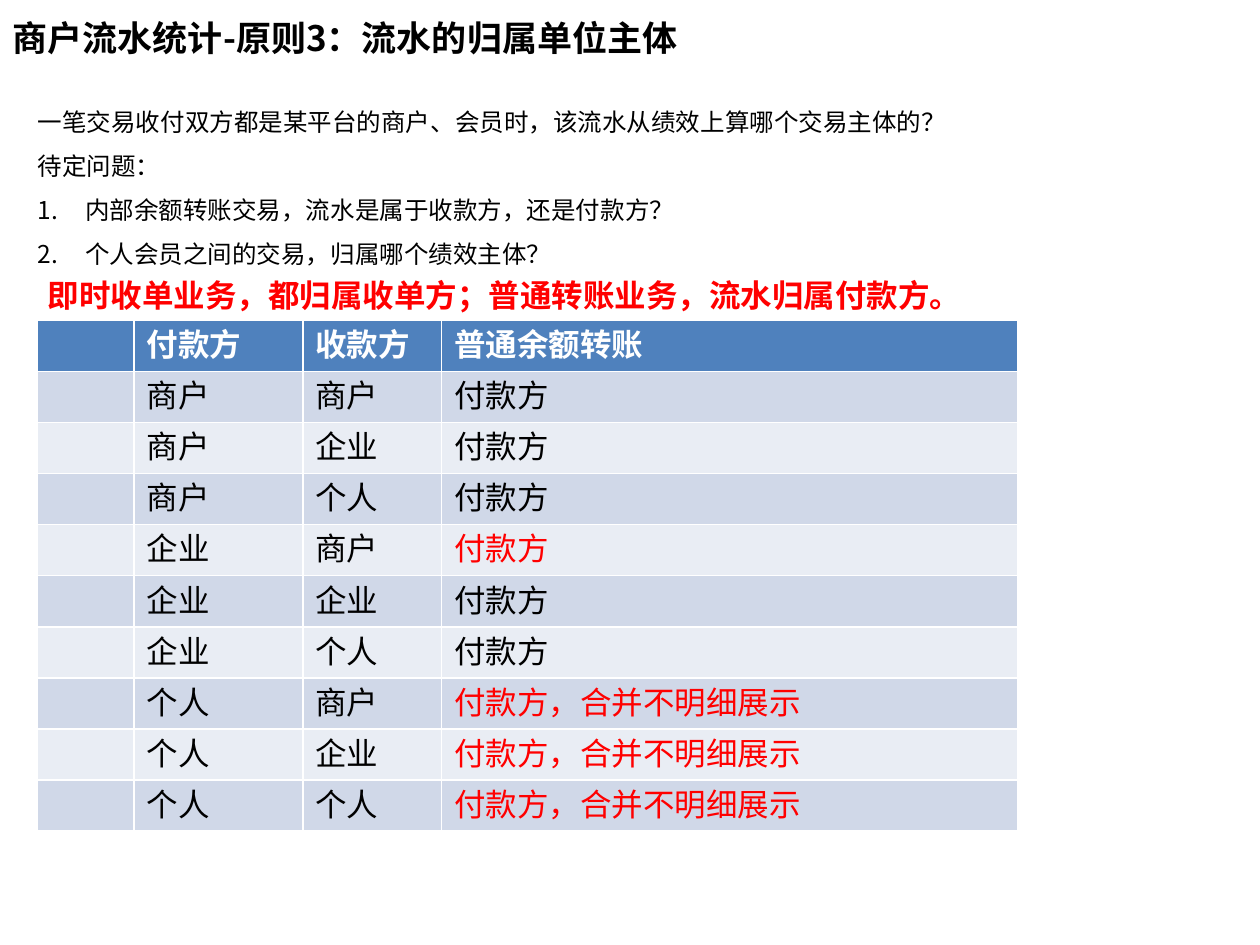
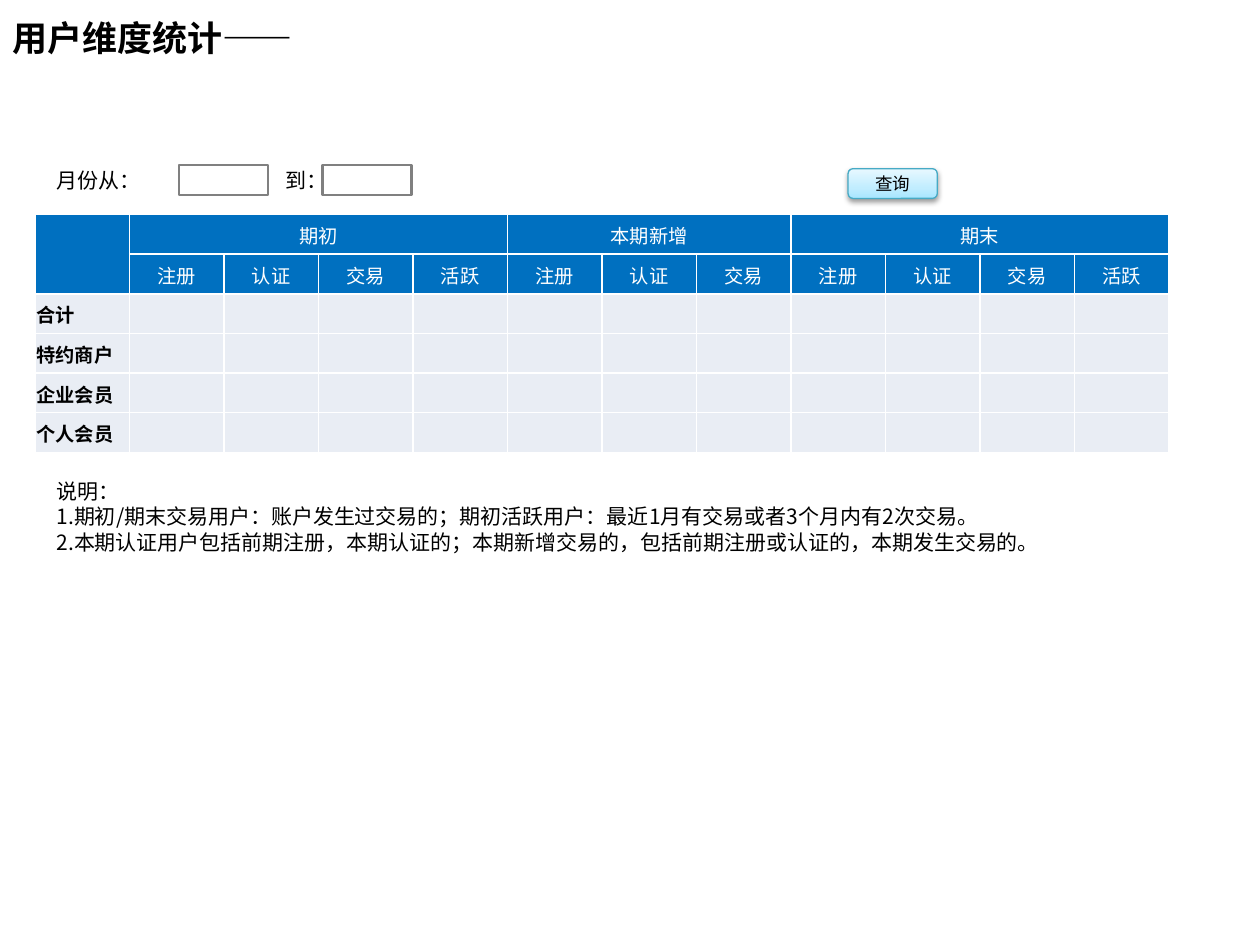
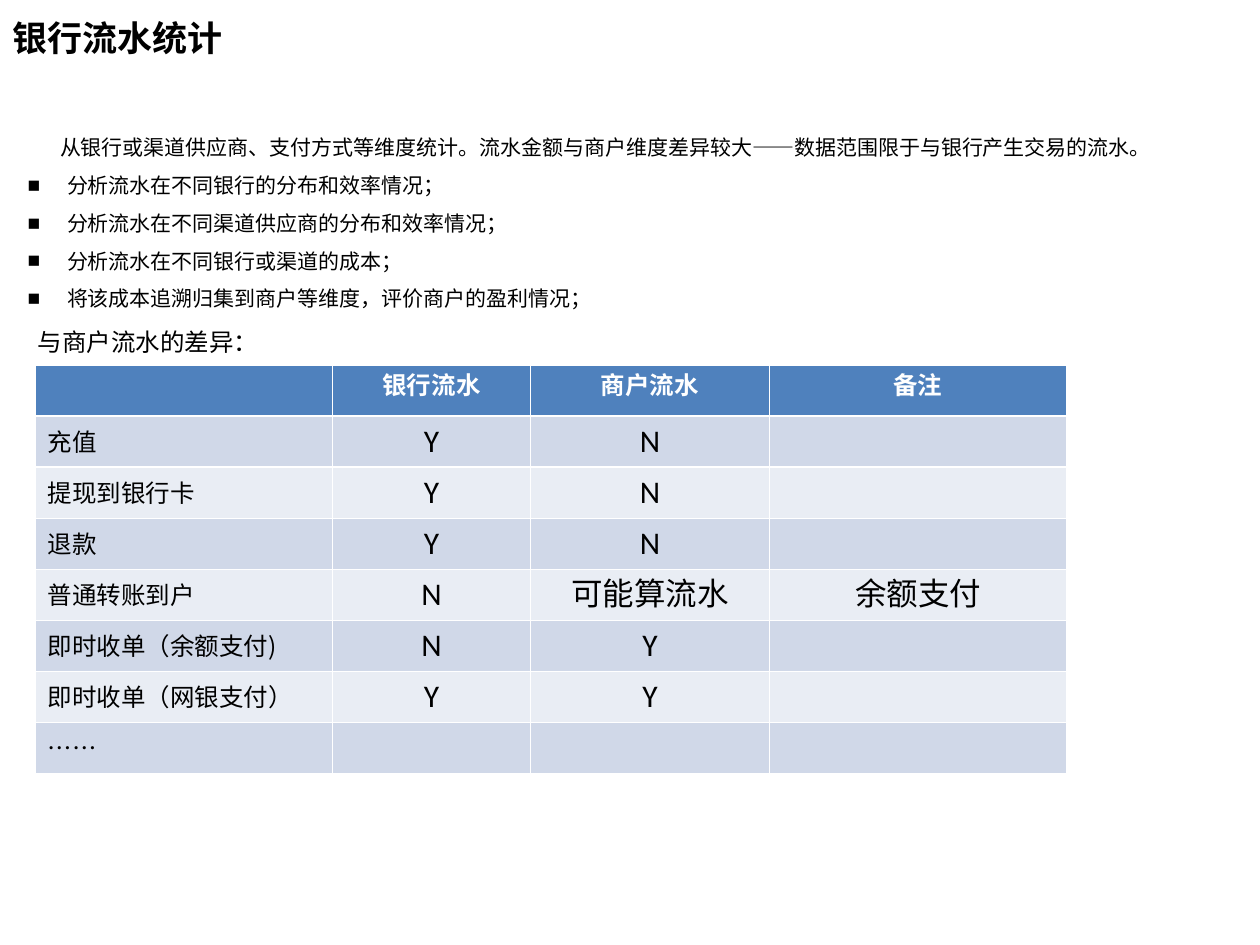
from lxml import etree
from pptx import Presentation
from pptx.dml.color import RGBColor
from pptx.enum import shapes, text
from pptx.oxml.ns import qn
from pptx.util import Pt

COLORS = {
    "ink": "000000", "white": "FFFFFF", "alert": "FF0000",
    "header": "4F81BD", "band_dark": "D0D8E8", "band_light": "E9EDF4",
    "group_header": "0070C0", "input_line": "808080", "button_line": "46AAC5",
    "button_low": "A7E6FF", "button_mid": "C1EDFF", "button_high": "E7F8FF",
}
SANS = "Noto Sans CJK SC"
LATIN = "Calibri"
CENTER = text.PP_ALIGN.CENTER
LEFT = text.PP_ALIGN.LEFT
MIDDLE = text.MSO_ANCHOR.MIDDLE
TITLE_BOX = (0, -0.72, 530, 44)
ROW_HEIGHT = 29.2


def color(name):
    return RGBColor.from_string(COLORS[name])


def points(box):
    return [Pt(value) for value in box]


def add_xml(parent, tag, **attributes):
    return etree.SubElement(parent, qn(tag), attributes)


def write(frame, *lines, size=12, font=SANS, ink="ink", bold=False,
          align=LEFT, spacing=None):
    """Fill a text frame with one paragraph for each line; return the paragraphs."""
    for index, line in enumerate(lines):
        paragraph = frame.add_paragraph() if index else frame.paragraphs[0]
        paragraph.alignment = align
        paragraph.space_before = Pt(0)
        if spacing:
            paragraph.line_spacing = spacing
        if not line:
            paragraph._p.get_or_add_endParaRPr().set("sz", str(size * 100))
            continue
        run = paragraph.add_run()
        run.text = line
        run.font.size, run.font.name, run.font.bold = Pt(size), font, bold
        run.font.color.rgb = color(ink)
        add_xml(run._r.get_or_add_rPr(), "a:ea", typeface=font)
    return frame.paragraphs


def set_bullet(paragraph, tag, hanging=0, first_line=0, **attributes):
    properties = paragraph._p.get_or_add_pPr()
    properties.set("marL", str(Pt(hanging)))
    properties.set("indent", str(Pt(first_line - hanging)))
    add_xml(properties, tag, **attributes)


def add_titled_slide(presentation, title, layout):
    slide = presentation.slides.add_slide(presentation.slide_layouts[layout])
    shape = slide.shapes.title
    shape.left, shape.top, shape.width, shape.height = points(TITLE_BOX)
    shape.text_frame.auto_size = text.MSO_AUTO_SIZE.NONE
    shape.text_frame.vertical_anchor = MIDDLE
    write(shape.text_frame, title, size=20, bold=True)
    return slide


def fill_body(slide, box, lines, size):
    body = slide.placeholders[1]
    body.left, body.top, body.width, body.height = points(box)
    body.text_frame.auto_size = text.MSO_AUTO_SIZE.NONE
    return write(body.text_frame, *lines, size=size, spacing=1.5)


def add_label(slide, box, *lines, wrap=True, **formatting):
    frame = slide.shapes.add_textbox(*points(box)).text_frame
    frame.word_wrap = wrap
    write(frame, *lines, **formatting)


def add_grid(slide, left, top, widths, row_count, row_height):
    table = slide.shapes.add_table(
        row_count, len(widths),
        *points((left, top, sum(widths), row_count * row_height))).table
    for column, width in zip(table.columns, widths):
        column.width = Pt(width)
    for row in table.rows:
        row.height = Pt(row_height)
    return table


def fill_cell(cell, content, background, **formatting):
    cell.fill.solid()
    cell.fill.fore_color.rgb = color(background)
    write(cell.text_frame, content, **formatting)


def add_banded_table(slide, left, top, widths, rows, cell_format):
    """Add a table with a header row; cell_format(row, column, content) gives text format."""
    table = add_grid(slide, left, top, widths, len(rows), ROW_HEIGHT)
    for r, row in enumerate(rows):
        background = "header" if r == 0 else "band_dark" if r % 2 else "band_light"
        for c, content in enumerate(row):
            fill_cell(table.cell(r, c), content, background,
                      **cell_format(r, c, content))


def add_ownership_slide(presentation):
    slide = add_titled_slide(presentation, "商户流水统计-原则3：流水的归属单位主体", 1)
    paragraphs = fill_body(slide, (14.4, 49, 692, 108.7), [
        "一笔交易收付双方都是某平台的商户、会员时，该流水从绩效上算哪个交易主体的？",
        "待定问题：",
        "内部余额转账交易，流水是属于收款方，还是付款方？",
        "个人会员之间的交易，归属哪个绩效主体？"], 14)
    for paragraph in paragraphs[:2]:
        set_bullet(paragraph, "a:buNone")
    for paragraph in paragraphs[2:]:
        set_bullet(paragraph, "a:buAutoNum", hanging=27, type="arabicPeriod")

    parties = ["商户", "企业", "个人"]
    merged = "付款方，合并不明细展示"
    rows = [("", "付款方", "收款方", "普通余额转账")]
    rows += [("", payer, payee, merged if payer == "个人" else "付款方")
             for payer in parties for payee in parties]

    def cell_format(r, c, content):
        is_alert = content == merged or (c == 3 and rows[r][1:3] == ("企业", "商户"))
        ink = "white" if r == 0 else "alert" if is_alert else "ink"
        return dict(size=18, font=LATIN, bold=r == 0, ink=ink)

    add_banded_table(slide, 21, 183, (55.7, 96.4, 79.3, 329), rows, cell_format)
    add_label(slide, (20.2, 154, 618, 29),
              "即时收单业务，都归属收单方；普通转账业务，流水归属付款方。",
              size=18, font=LATIN, ink="alert", bold=True)


def add_user_table(slide, left, top):
    stages = ["注册", "认证", "交易", "活跃"]
    groups = [("期初", stages), ("本期新增", stages[:3]), ("期末", stages)]
    members = ["合计", "特约商户", "企业会员", "个人会员"]
    rows = [[""], [""]]
    for group, columns in groups:
        rows[0] += [group] + [""] * (len(columns) - 1)
        rows[1] += columns
    rows += [[member] + [""] * (len(rows[0]) - 1) for member in members]

    table = add_grid(slide, left, top, [54] * len(rows[0]), len(rows), 22.65)
    table.first_row = table.horz_banding = False
    for r, row in enumerate(rows):
        heading = r < 2
        for c, content in enumerate(row):
            cell = table.cell(r, c)
            cell.margin_left = cell.margin_right = cell.margin_top = Pt(0.7)
            cell.margin_bottom = Pt(0)
            cell.vertical_anchor = MIDDLE
            fill_cell(cell, content, "group_header" if heading else "band_light",
                      size=11, bold=not heading, ink="white" if heading else "ink",
                      align=CENTER if heading else LEFT)
    table.cell(0, 0).merge(table.cell(1, 0))
    start = 1
    for _, columns in groups:
        end = start + len(columns)
        table.cell(0, start).merge(table.cell(0, end - 1))
        start = end


def add_input(slide, box):
    field = slide.shapes.add_shape(shapes.MSO_SHAPE.RECTANGLE, *points(box))
    field.shadow.inherit = False
    field.fill.background()
    field.line.color.rgb = color("input_line")
    field.line.width = Pt(1.5)


def add_button(slide, box, caption):
    button = slide.shapes.add_shape(shapes.MSO_SHAPE.ROUNDED_RECTANGLE, *points(box))
    button.line.color.rgb = color("button_line")
    button.line.width = Pt(0.75)
    button.shadow.inherit = False
    button.fill.gradient()
    button.fill.gradient_angle = 90
    properties = button._element.spPr
    stops = properties.find(".//" + qn("a:gsLst"))
    for stop in list(stops):
        stops.remove(stop)
    for percent, name in ((0, "button_low"), (35, "button_mid"), (100, "button_high")):
        stop = add_xml(stops, "a:gs", pos=str(percent * 1000))
        add_xml(stop, "a:srgbClr", val=COLORS[name])
    shadow = add_xml(properties.find(qn("a:effectLst")), "a:outerShdw",
                     blurRad=str(Pt(3.1)), dist=str(Pt(1.6)), dir="5400000",
                     rotWithShape="0")
    shade = add_xml(shadow, "a:srgbClr", val=COLORS["ink"])
    add_xml(shade, "a:alpha", val="38000")
    button.text_frame.vertical_anchor = MIDDLE
    write(button.text_frame, caption, size=10, align=CENTER)


def add_query_bar(slide, left, top):
    add_label(slide, (left, top, 63.4, 21.8), "月份从：", wrap=False)
    add_label(slide, (left + 131, top, 39, 21.8), "到：", wrap=False)
    for offset in (77, 159):
        add_input(slide, (left + offset, top + 2.2, 51, 17))
    add_button(slide, (left + 459.4, top + 4.2, 51, 17), "查询")


def add_user_slide(presentation):
    slide = add_titled_slide(presentation, "用户维度统计——", 5)
    add_user_table(slide, 20, 122.6)
    add_query_bar(slide, 25.2, 92.2)
    add_label(slide, (25.2, 270, 641, 51), "说明：",
              "1.期初/期末交易用户：账户发生过交易的；期初活跃用户：最近1月有交易或者3个月内有2次交易。",
              "2.本期认证用户包括前期注册，本期认证的；本期新增交易的，包括前期注册或认证的，本期发生交易的。")


def add_bank_slide(presentation):
    slide = add_titled_slide(presentation, "银行流水统计", 1)
    paragraphs = fill_body(slide, (8.6, 66.2, 686, 116.6), [
        "从银行或渠道供应商、支付方式等维度统计。流水金额与商户维度差异较大——数据范围限于与银行产生交易的流水。",
        "分析流水在不同银行的分布和效率情况；",
        "分析流水在不同渠道供应商的分布和效率情况；",
        "分析流水在不同银行或渠道的成本；",
        "将该成本追溯归集到商户等维度，评价商户的盈利情况；"], 12)
    set_bullet(paragraphs[0], "a:buNone", first_line=18.5)
    for paragraph in paragraphs[1:]:
        set_bullet(paragraph, "a:buChar", hanging=22.5, char="■")

    rows = [
        ("", "银行流水", "商户流水", "备注"),
        ("充值", "Y", "N", ""),
        ("提现到银行卡", "Y", "N", ""),
        ("退款", "Y", "N", ""),
        ("普通转账到户", "N", "可能算流水", "余额支付"),
        ("即时收单（余额支付)", "N", "Y", ""),
        ("即时收单（网银支付）", "Y", "Y", ""),
        ("……", "", "", ""),
    ]

    def cell_format(r, c, content):
        if r == 0:
            return dict(size=14, font=LATIN, bold=True, ink="white", align=CENTER)
        if c == 0:
            return dict(size=14)
        return dict(size=18, font=LATIN, align=CENTER)

    add_banded_table(slide, 20, 208.6, (170, 113.2, 136.4, 170), rows, cell_format)
    add_label(slide, (14.4, 183.6, 142, 24.2), "与商户流水的差异：", wrap=False, size=14)


def main():
    presentation = Presentation()
    presentation.slide_width, presentation.slide_height = Pt(720), Pt(540)
    add_ownership_slide(presentation)
    add_user_slide(presentation)
    add_bank_slide(presentation)
    presentation.save("out.pptx")


if __name__ == "__main__":
    main()
